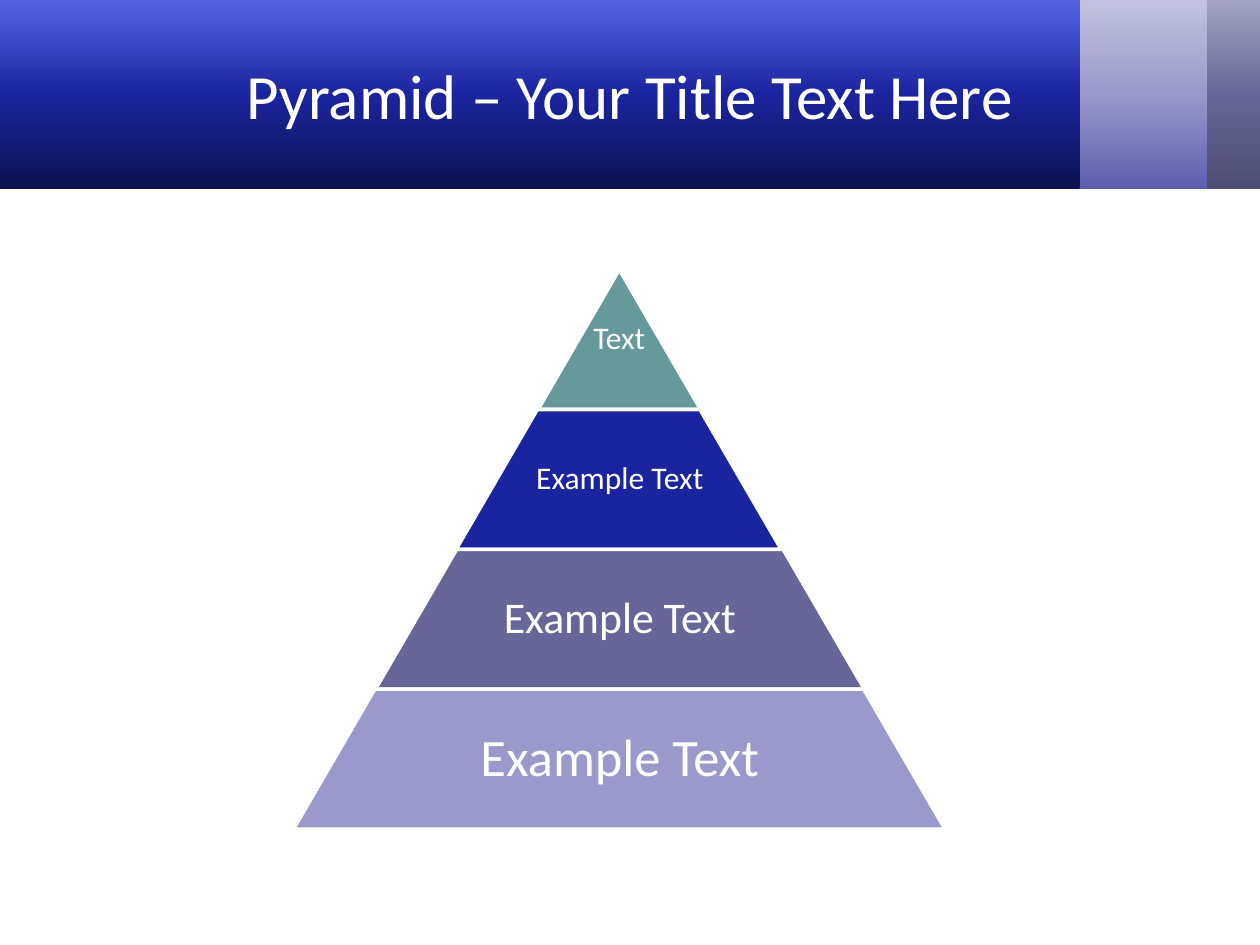
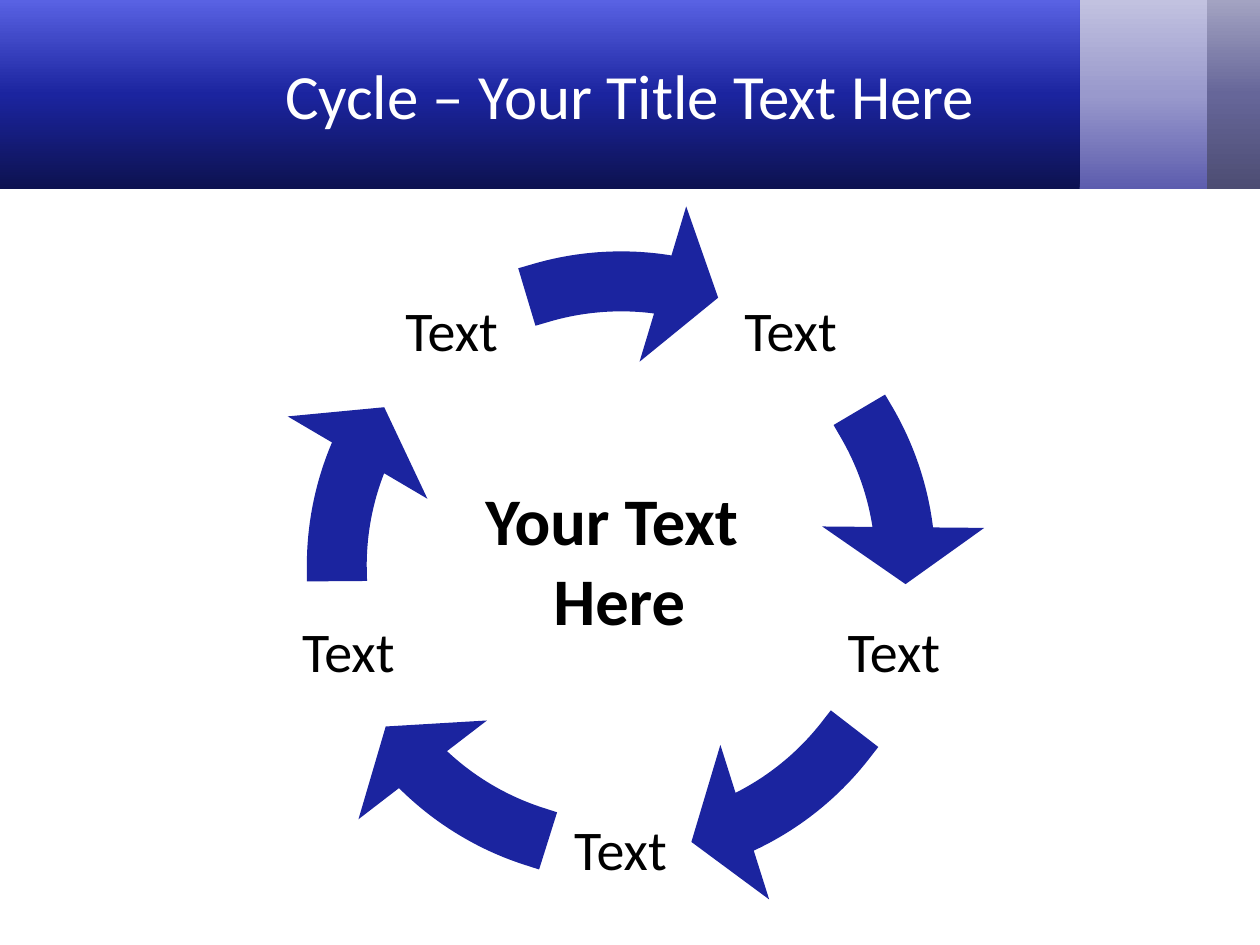
import math

from pptx import Presentation
from pptx import util as u
from pptx.dml.color import RGBColor
from pptx.enum import shapes, text
from pptx.oxml import parse_xml
from pptx.oxml.ns import nsdecls

PX = 9144
FONT = "Calibri"
WHITE, BLACK, BLUE = "FFFFFF", "000000", "1B249F"
SLATE, LILAC, TEAL = "666699", "9999CC", "669999"
KIND = shapes.MSO_SHAPE

BANDS = [
    (943, 58, ("4D4D73", SLATE, "A3A3C2")),
    (853, 105, ("5D5DAE", LILAC, "C2C2E0")),
    (0, 857, ("0D1250", BLUE, "5962E3")),
]
TIERS = [
    ("Text", 18, TEAL),
    ("Example Text", 18, BLUE),
    ("Example Text", 25, SLATE),
    ("Example Text", 30, LILAC),
]
ARCS = [
    (212.928, 197.666),
    (40.143, 22.538),
    (82.102, 64.497),
    (122.974, 107.712),
    (168.653, 151.987),
]


def px(*nums):
    """Turn px lengths into EMU."""
    return [u.Emu(round(n) * PX) for n in nums]


def tint(color, code):
    """Give a colour format a hex colour."""
    color.rgb = RGBColor.from_string(code)


def style(para, size, code, bold=False):
    """Centre a paragraph and set its font."""
    para.alignment = text.PP_ALIGN.CENTER
    font = para.font
    font.name, font.size, font.bold = FONT, u.Pt(size), bold
    tint(font.color, code)


def shape(slide, kind, box, fill, line, width, adj):
    """Draw a filled preset shape with a sharp-cornered outline."""
    item = slide.shapes.add_shape(kind, *px(*box))
    item.shadow.inherit = False
    item.fill.solid()
    tint(item.fill.fore_color, fill)
    tint(item.line.color, line)
    item.line.width = u.Pt(width)
    item.line._ln.append(parse_xml(f'<a:miter {nsdecls("a")} lim="800000"/>'))
    for i, value in enumerate(adj):
        item.adjustments[i] = value
    return item


def label(slide, box, words, size, code, inset=4):
    """Place one centred line of text in the middle of a box."""
    frame = slide.shapes.add_textbox(*px(*box)).text_frame
    frame.word_wrap = True
    frame.vertical_anchor = text.MSO_ANCHOR.MIDDLE
    (frame.margin_left, frame.margin_top,
     frame.margin_right, frame.margin_bottom) = px(*[inset] * 4)
    para = frame.paragraphs[0]
    para.text = words
    para.line_spacing = 0.9
    style(para, size, code)


def band(slide, left, width, stops):
    """Draw one header band with an upward gradient."""
    item = slide.shapes.add_shape(KIND.RECTANGLE, *px(left, 0, width, 150))
    item.shadow.inherit = False
    item.line.fill.background()
    marks = "".join(
        f'<a:gs pos="{i * 50000}"><a:srgbClr val="{code}"/></a:gs>'
        for i, code in enumerate(stops))
    grad = parse_xml(
        f'<a:gradFill {nsdecls("a")} rotWithShape="1"><a:gsLst>{marks}</a:gsLst>'
        '<a:lin ang="16200000" scaled="0"/></a:gradFill>')
    item._element.spPr.find(".//{*}prstGeom").addnext(grad)


def page(deck, words):
    """Add a slide with the header bands and its title in front."""
    slide = deck.slides.add_slide(deck.slide_layouts[5])
    for part in BANDS:
        band(slide, *part)
    title = slide.shapes.title
    title.left, title.top, title.width, title.height = px(50, 8, 900, 133)
    frame = title.text_frame
    frame.text = words
    frame.vertical_anchor = text.MSO_ANCHOR.MIDDLE
    style(frame.paragraphs[0], 36, WHITE)
    slide.shapes._spTree.append(title._element)
    return slide


def tower(slide):
    """Stack the tiers of the pyramid, each wider by one step."""
    mid, top, high, step = 491.5, 214, 111, 129.2
    for i, (words, size, fill) in enumerate(TIERS):
        wide = step * (i + 1)
        span = wide * 0.65 if i else wide
        y = top + high * i
        shape(slide, KIND.TRAPEZOID, (mid - wide / 2, y, wide, high),
              fill, WHITE, 2, [0.581])
        label(slide, (mid - span / 2, y, span, high), words, size, WHITE, 3)


def ring(slide):
    """Set labels and arrows around a circle."""
    x, y, far, side = 493, 449, 228, 137
    for i, (end, start) in enumerate(ARCS):
        turn = math.radians(72 * i - 54)
        left = x + far * math.cos(turn) - side / 2
        top = y + far * math.sin(turn) - side / 2
        label(slide, (left, top, side, side), "Text", 32, BLACK)
        shape(slide, KIND.CIRCULAR_ARROW, (236, 192, 514, 514),
              BLUE, BLUE, 15, [0.052, 3.36, end, start, 0.061])


def core(slide):
    """Write the bold text in the middle of the cycle."""
    frame = slide.shapes.add_textbox(*px(294, 375, 395, 138)).text_frame
    frame.word_wrap = True
    frame.text = "Your Text \nHere"
    for para in frame.paragraphs:
        style(para, 38, BLACK, True)


def main():
    """Build and save both slides."""
    deck = Presentation()
    deck.slide_width, deck.slide_height = px(1000, 750)
    tower(page(deck, "Pyramid – Your Title Text Here"))
    slide = page(deck, "Cycle – Your Title Text Here")
    ring(slide)
    core(slide)
    deck.save("out.pptx")


if __name__ == "__main__":
    main()
